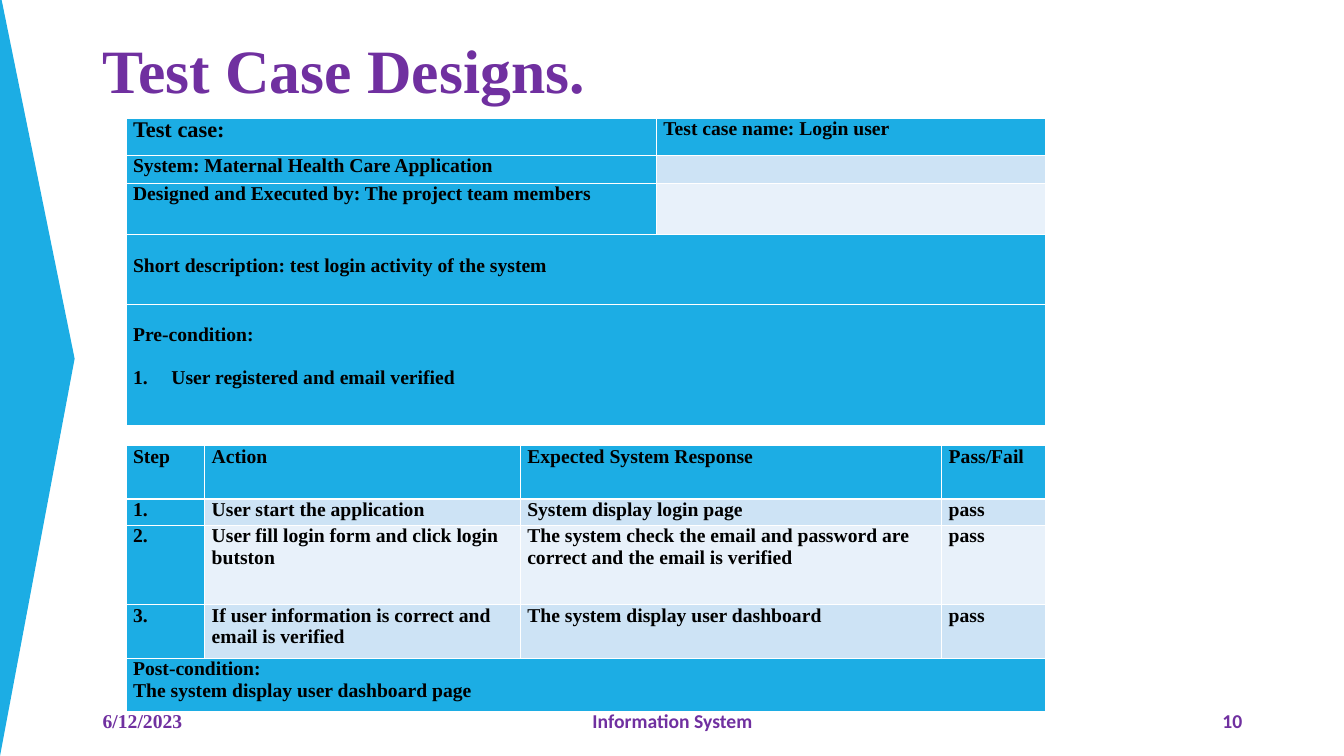
from lxml.etree import SubElement
from pptx import Presentation
from pptx.dml.color import RGBColor
from pptx.enum.shapes import MSO_SHAPE as Shape
from pptx.enum.text import MSO_ANCHOR as Anchor, MSO_AUTO_SIZE as AutoSize, PP_ALIGN as Align
from pptx.oxml.ns import qn
from pptx.util import Inches, Pt

COLORS = {"accent": "1CADE4", "odd": "CDE3F5", "even": "E8F1FA",
          "heading": "7030A0", "body": "000000"}
SERIF, SANS = "Times New Roman", "Calibri"
W, H = 13.33, 7.5
TABLE_X = 1.25


def rgb(name):
    return RGBColor.from_string(COLORS[name])


def set_font(p, size, color, face=SERIF):
    p.font.size = Pt(size)
    p.font.name = face
    p.font.bold = True
    p.font.color.rgb = rgb(color)


def add_side_arrow(s, width, length, middle):
    left, top = (width - length) / 2, middle - width / 2
    sp = s.shapes.add_shape(Shape.ISOSCELES_TRIANGLE, Inches(left), Inches(top),
                            Inches(length), Inches(width))
    sp.rotation = 90
    sp.adjustments[0] = 0.48
    sp.shadow.inherit = False
    sp.fill.solid()
    sp.fill.fore_color.rgb = rgb("accent")
    sp.line.fill.background()


def add_title(s, box, text):
    sp = s.shapes.title
    sp.left, sp.top, sp.width, sp.height = map(Inches, box)
    tf = sp.text_frame
    tf.text = text
    tf.word_wrap = True
    tf.auto_size = AutoSize.NONE
    tf.vertical_anchor = Anchor.MIDDLE
    p = tf.paragraphs[0]
    p.alignment = Align.LEFT
    p.line_spacing = 1.5
    set_font(p, 44, "heading")


def add_footer(s, top, height, parts):
    for left, width, text, face, align in parts:
        box = s.shapes.add_textbox(*map(Inches, (left, top, width, height)))
        tf = box.text_frame
        tf.word_wrap = True
        tf.vertical_anchor = Anchor.MIDDLE
        p = tf.paragraphs[0]
        p.text = text
        p.alignment = align
        set_font(p, 14, "heading", face)


def fill_cell(cell, text, color):
    cell.fill.solid()
    cell.fill.fore_color.rgb = rgb(color)
    cell.margin_left = cell.margin_right = Inches(0.07)
    cell.margin_top = cell.margin_bottom = 0
    cell.text = text
    for p in cell.text_frame.paragraphs:
        set_font(p, 14, "body")
        if not text:
            SubElement(p._p, qn("a:endParaRPr"), sz="1400")


def add_grid(s, left, top, cols, heights, rows):
    frame = s.shapes.add_table(len(rows), len(cols), Inches(left), Inches(top),
                               Inches(sum(cols)), Inches(sum(heights)))
    table = frame.table
    table.first_col = True
    for col, width in zip(table.columns, cols):
        col.width = Inches(width)
    for r, (texts, height) in enumerate(zip(rows, heights)):
        table.rows[r].height = Inches(height)
        spans = len(texts) == 1
        if spans:
            table.cell(r, 0).merge(table.cell(r, len(cols) - 1))
        band = "odd" if r % 2 else "even"
        for c, text in enumerate(texts):
            fill_cell(table.cell(r, c), text, "accent" if r == 0 or c == 0 else band)
    return table


def number_paragraph(p, indent):
    pPr = p._p.get_or_add_pPr()
    pPr.set("marL", str(Inches(indent)))
    pPr.set("indent", str(-Inches(indent)))
    number = pPr.makeelement(qn("a:buAutoNum"), {"type": "arabicPeriod"})
    pPr.find(qn("a:defRPr")).addprevious(number)


def add_case_summary(s, left, top):
    table = add_grid(s, left, top, [5.26, 3.86], [0.37, 0.28, 0.51, 0.69, 1.2], [
        ["Test case:", "Test case name: Login user"],
        ["System: Maternal Health Care Application", ""],
        ["Designed and Executed by: The project team members", ""],
        ["Short description: test login activity of the system"],
        ["Pre-condition:\nUser registered and email verified"],
    ])
    table.cell(0, 0).text_frame.paragraphs[0].font.size = Pt(16)
    for r in (3, 4):
        table.cell(r, 0).margin_top = Inches(0.2)
    condition = table.cell(4, 0).text_frame.paragraphs[1]
    condition.space_before = Pt(15)
    number_paragraph(condition, 0.38)


def add_case_steps(s, left, top):
    add_grid(s, left, top, [0.78, 3.13, 4.18, 1.03], [0.53, 0.26, 0.79, 0.53, 0.53], [
        ["Step", "Action", "Expected System Response", "Pass/Fail"],
        ["1.", "User start the application", "System display login page", "pass"],
        ["2.", "User fill login form and click login butston",
         "The system check the email and password are correct and the email is verified", "pass"],
        ["3.", "If user information is correct and email is verified",
         "The system display user dashboard", "pass"],
        ["Post-condition:\nThe system display user dashboard page"],
    ])


def main():
    prs = Presentation()
    prs.slide_width, prs.slide_height = Inches(W), Inches(H)
    s = prs.slides.add_slide(prs.slide_layouts[5])
    add_side_arrow(s, 0.74, 7.58, 3.71)
    add_title(s, (0.92, 0.15, 10.94, 0.69), "Test Case Designs.")
    add_footer(s, 6.95, 0.4, [
        (0.92, 3, "6/12/2023", SERIF, Align.LEFT),
        (4.42, 4.5, "Information System", SANS, Align.CENTER),
        (9.42, 3, "10", SANS, Align.RIGHT),
    ])
    add_case_summary(s, TABLE_X, 1.17)
    add_case_steps(s, TABLE_X, 4.42)
    prs.save("out.pptx")


if __name__ == "__main__":
    main()
